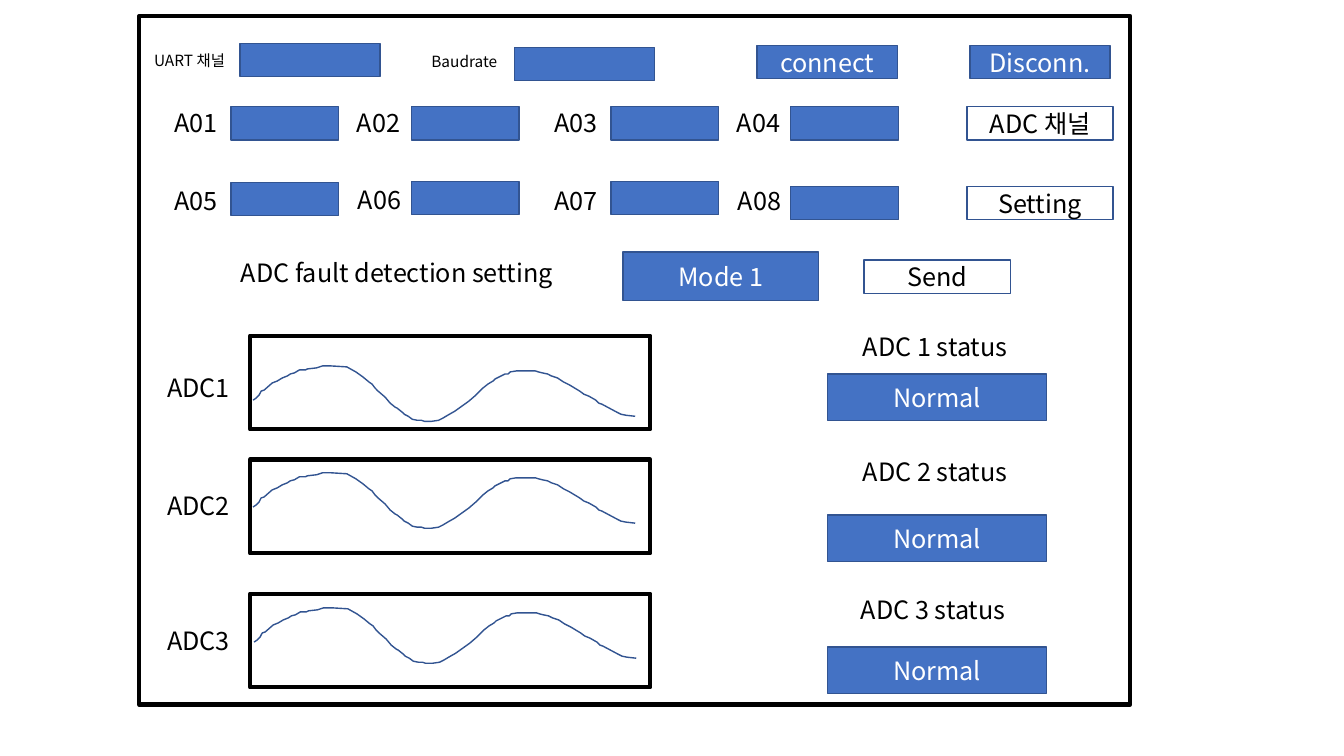
from lxml.etree import SubElement
from pptx import Presentation
from pptx.dml.color import RGBColor
from pptx.enum.shapes import MSO_SHAPE as Shape
from pptx.enum.text import MSO_ANCHOR as Anchor, MSO_AUTO_SIZE as Auto, PP_ALIGN as Align
from pptx.oxml.ns import qn
from pptx.util import Pt

PX = 9144
FONT = "Noto Sans CJK KR"
BLACK = RGBColor(0x00, 0x00, 0x00)
WHITE = RGBColor(0xFF, 0xFF, 0xFF)
BLUE = RGBColor(0x44, 0x72, 0xC4)
NAVY = RGBColor(0x32, 0x54, 0x91)

deck = Presentation()
deck.slide_width, deck.slide_height = 1333 * PX, 750 * PX
shapes = deck.slides.add_slide(deck.slide_layouts[6]).shapes


def write(frame, text, size=18, ink=BLACK, align=Align.LEFT):
    frame.word_wrap = True
    para = frame.paragraphs[0]
    para.alignment = align
    run = para.add_run()
    run.text = text
    run.font.size = Pt(size)
    run.font.color.rgb = ink
    run.font.name = FONT
    SubElement(run._r.get_or_add_rPr(), qn("a:ea")).set("typeface", FONT)


def draw(left, top, width, height, text="", fill=BLUE, line=NAVY, weight=1):
    rect = shapes.add_shape(Shape.RECTANGLE, left * PX, top * PX, width * PX, height * PX)
    rect.shadow.inherit = False
    rect.line.color.rgb = line
    rect.line.width = Pt(weight)
    if fill:
        rect.fill.solid()
        rect.fill.fore_color.rgb = fill
    else:
        rect.fill.background()
    if text:
        rect.text_frame.vertical_anchor = Anchor.MIDDLE
        write(rect.text_frame, text, ink=WHITE if fill else BLACK, align=Align.CENTER)


draw(138, 16, 983, 683, fill=None, line=BLACK, weight=3)

for left, top in [(238, 43), (510, 47)]:
    draw(left, top, 139, 33)
for left, text in [(751, "connect"), (962, "Disconn.")]:
    draw(left, 45, 139, 33, text)

cols = [229, 408, 606, 784]
rows = [[106] * 4, [181, 180, 180, 185]]
for tops in rows:
    for left, top in zip(cols, tops):
        draw(left, top, 107, 33)

for left, top, text in [(959, 106, "ADC 채널"), (959, 185, "Setting"), (857, 258, "Send")]:
    draw(left, top, 145, 33, text, fill=None)
draw(618, 250, 194, 48, "Mode 1")

for top in [333, 456, 589]:
    draw(248, top, 397, 93, fill=None, line=BLACK, weight=3)
for top in [371, 511, 642]:
    draw(821, top, 217, 46, "Normal")

labels = [
    (143, 46, 107, 29, "UART 채널", 11),
    (418, 47, 107, 29, "Baudrate", 11),
    (229, 250, 351, 40, "ADC fault detection setting", 18),
]
pins = [(163, 102), (344, 102), (540, 102), (721, 102),
        (163, 179), (345, 178), (540, 179), (722, 179)]
for num, (left, top) in enumerate(pins, 1):
    labels.append((left, top, 66, 40, f"A0{num}", 18))
for num, top in enumerate([364, 482, 615], 1):
    labels.append((156, top, 88, 40, f"ADC{num}", 18))
for num, (left, top) in enumerate([(846, 324), (846, 448), (844, 585)], 1):
    labels.append((left, top, 210, 40, f"ADC {num} status", 18))

for left, top, width, height, text, size in labels:
    label = shapes.add_textbox(left * PX, top * PX, width * PX, height * PX)
    label.text_frame.auto_size = Auto.SHAPE_TO_FIT_TEXT
    write(label.text_frame, text, size=size)

wave = [
    (0, 34), (3, 32), (6, 29), (8, 25), (11, 24), (19, 17), (24, 15), (29, 12),
    (34, 10), (37, 8), (41, 7), (46, 4), (52, 4), (54, 3), (63, 2), (69, 0),
    (77, 0), (93, 1), (102, 6), (109, 11), (115, 16), (118, 18), (121, 22), (124, 25),
    (131, 31), (136, 37), (141, 41), (143, 42), (148, 46), (150, 48), (154, 50), (158, 53),
    (163, 54), (167, 54), (170, 55), (177, 55), (184, 54), (188, 52), (193, 49), (200, 45),
    (207, 40), (214, 35), (221, 29), (224, 26), (228, 22), (233, 18), (238, 15), (240, 13),
    (244, 11), (246, 10), (250, 8), (253, 8), (255, 6), (261, 5), (280, 5), (283, 6),
    (287, 7), (292, 8), (296, 10), (302, 12), (308, 16), (314, 19), (324, 25), (328, 28),
    (333, 30), (340, 34), (343, 37), (346, 38), (361, 46), (365, 48), (370, 49), (379, 50),
]
for left, top in [(251, 363), (251, 469), (252, 603)]:
    dots = [(left + x, top + y) for x, y in wave]
    pen = shapes.build_freeform(*dots[0], scale=PX)
    pen.add_line_segments(dots[1:], close=False)
    curve = pen.convert_to_shape()
    curve.shadow.inherit = False
    curve.fill.background()
    curve.line.color.rgb = NAVY
    curve.line.width = Pt(1)

deck.save("out.pptx")
